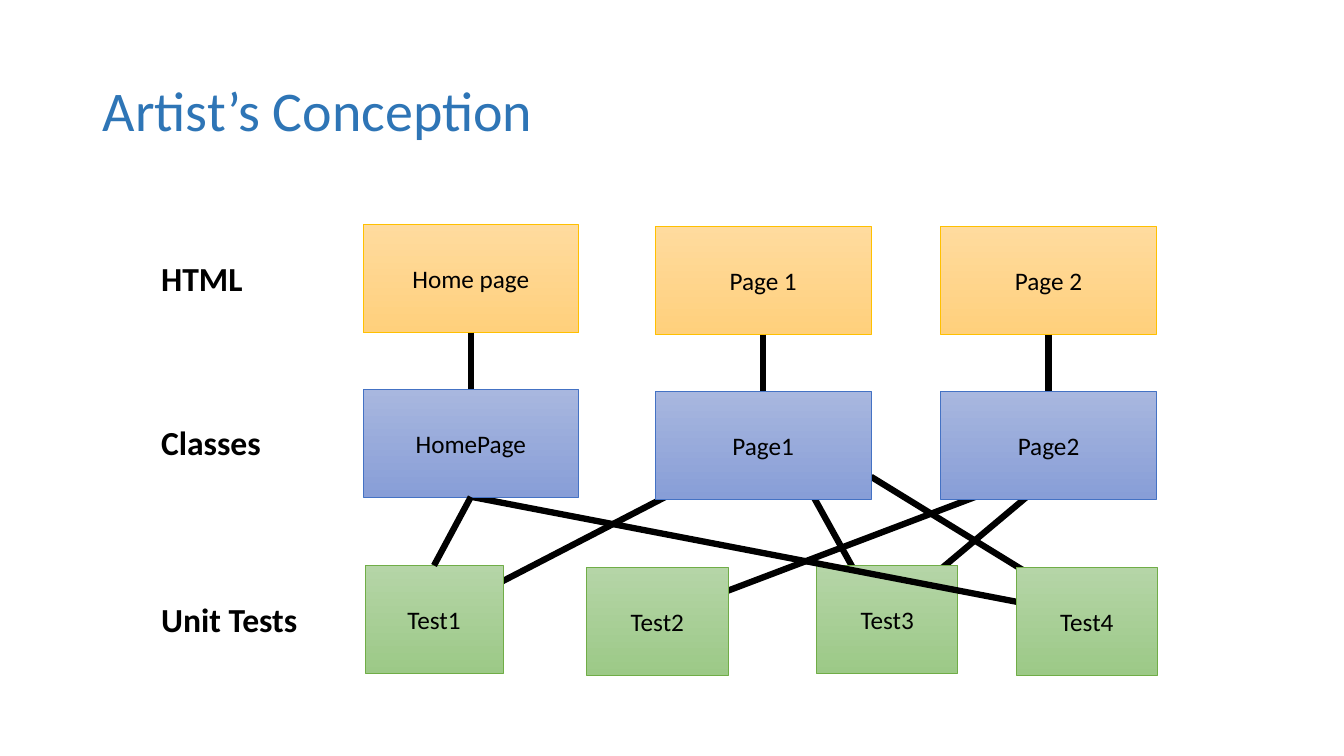
"""Build a slide that maps web pages to classes and unit tests."""
from pptx import Presentation
from pptx.dml.color import RGBColor
from pptx.enum.shapes import MSO_CONNECTOR, MSO_SHAPE
from pptx.enum.text import MSO_ANCHOR, MSO_AUTO_SIZE, PP_ALIGN
from pptx.oxml.ns import qn
from pptx.util import Inches, Pt

RECT, LINE = MSO_SHAPE.RECTANGLE, MSO_CONNECTOR.STRAIGHT
MID, CENTER, LEFT = MSO_ANCHOR.MIDDLE, PP_ALIGN.CENTER, PP_ALIGN.LEFT
FIT = MSO_AUTO_SIZE.SHAPE_TO_FIT_TEXT

THEME = {
    "font": "Calibri", "ink": "000000", "title": "2E75B6",
    "big": 40, "label": 24, "body": 18, "edge": 0.5, "link": 4.5,
    "gold": ("FFDB9E", "FFD07C", "FFC000"),
    "blue": ("A8B7DF", "889ED7", "4472C4"),
    "green": ("B5D5A7", "9CC987", "70AD47"),
}
TITLE = "Artist’s Conception"
COLS = (3.6, 6.5, 9.33)
WIDE, SLIM, TALL, DROP = 2.14, 1.4, 1.07, 0.02
LABEL_X, LABEL_DY, LABEL_H = 1.5, 0.28, 0.5
DROPS = (0, DROP, DROP)

ROWS = [
    ("HTML", 1.02, 2.23, "gold",
     list(zip(("Home page", "Page 1", "Page 2"), COLS, [WIDE] * 3, DROPS))),
    ("Unit Tests", 1.57, 5.61, "green",
     [("Test1", 3.62, 1.37, 0), ("Test2", 5.82, SLIM, DROP),
      ("Test3", 8.1, SLIM, 0), ("Test4", 10.08, SLIM, DROP)]),
    ("Classes", 1.2, 3.86, "blue",
     list(zip(("HomePage", "Page1", "Page2"), COLS, [WIDE] * 3, DROPS))),
]
GLUED = [("Home page", "HomePage"), ("Page 1", "Page1"),
         ("Page 2", "Page2"), ("HomePage", "Test1")]
UNDER = [
    (7.14, 4.65, 4.61, 5.96),
    (10.2, 4.73, 6.64, 6.08),
    (7.97, 4.75, 8.64, 5.96),
    (10.54, 4.63, 8.73, 6.15),
    (8.64, 4.73, 10.9, 6.12),
]
OVER = {"Test4": (4.68, 4.93, 10.86, 6.12)}


def rgb(tone):
    return RGBColor.from_string(tone)


def write(frame, text, size, tone="ink", bold=False, align=LEFT):
    para = frame.paragraphs[0]
    para.alignment = align
    run = para.add_run()
    run.text = text
    run.font.name = THEME["font"]
    run.font.size = Pt(THEME[size])
    run.font.bold = bold
    run.font.color.rgb = rgb(THEME[tone])
    return para


def link(slide, ends):
    wire = slide.shapes.add_connector(LINE, *map(Inches, ends))
    wire.line.color.rgb = rgb(THEME["ink"])
    wire.line.width = Pt(THEME["link"])
    props = wire.element.spPr
    props.append(props.makeelement(qn("a:effectLst"), {}))
    return wire


def box(slide, text, place, hue):
    top, end, edge = THEME[hue]
    shape = slide.shapes.add_shape(RECT, *map(Inches, place))
    shape.shadow.inherit = False
    shape.fill.gradient()
    shape.fill.gradient_angle = 270
    for stop, tone in zip(shape.fill.gradient_stops, (top, end)):
        stop.color.rgb = rgb(tone)
    shape.line.color.rgb = rgb(edge)
    shape.line.width = Pt(THEME["edge"])
    shape.text_frame.vertical_anchor = MID
    write(shape.text_frame, text, "body", align=CENTER)
    return shape


def label(slide, text, wide, top):
    place = (LABEL_X, top + LABEL_DY, wide, LABEL_H)
    frame = slide.shapes.add_textbox(*map(Inches, place)).text_frame
    frame.word_wrap = False
    frame.auto_size = FIT
    write(frame, text, "label", bold=True)


def head(slide):
    title = slide.shapes.title
    title.left, title.top, title.width, title.height = map(
        Inches, (0.92, 0.4, 11.5, 1.45))
    title.text_frame.vertical_anchor = MID
    write(title.text_frame, TITLE, "big", "title").line_spacing = 0.9


def main():
    deck = Presentation()
    deck.slide_width, deck.slide_height = Inches(13.33), Inches(7.5)
    slide = deck.slides.add_slide(deck.slide_layouts[5])
    head(slide)
    for ends in UNDER:
        link(slide, ends)
    boxes = {}
    for text, wide, top, hue, items in ROWS:
        label(slide, text, wide, top)
        for name, left, width, drop in items:
            if name in OVER:
                link(slide, OVER[name])
            place = (left, top + drop, width, TALL)
            boxes[name] = box(slide, name, place, hue)
    for start, stop in GLUED:
        wire = link(slide, (0, 0, 1, 1))
        wire.begin_connect(boxes[start], 2)
        wire.end_connect(boxes[stop], 0)
    deck.save("out.pptx")


main()
